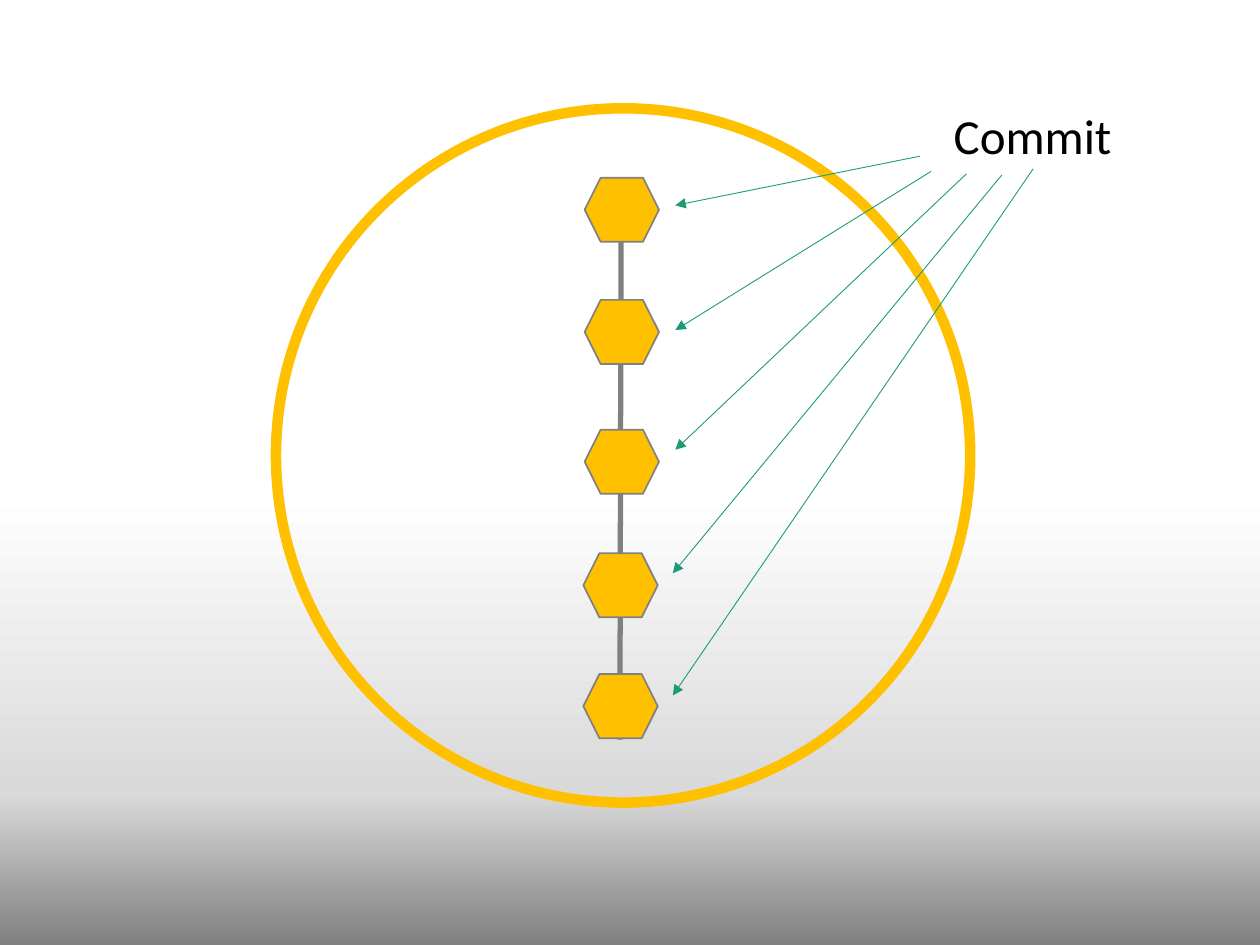
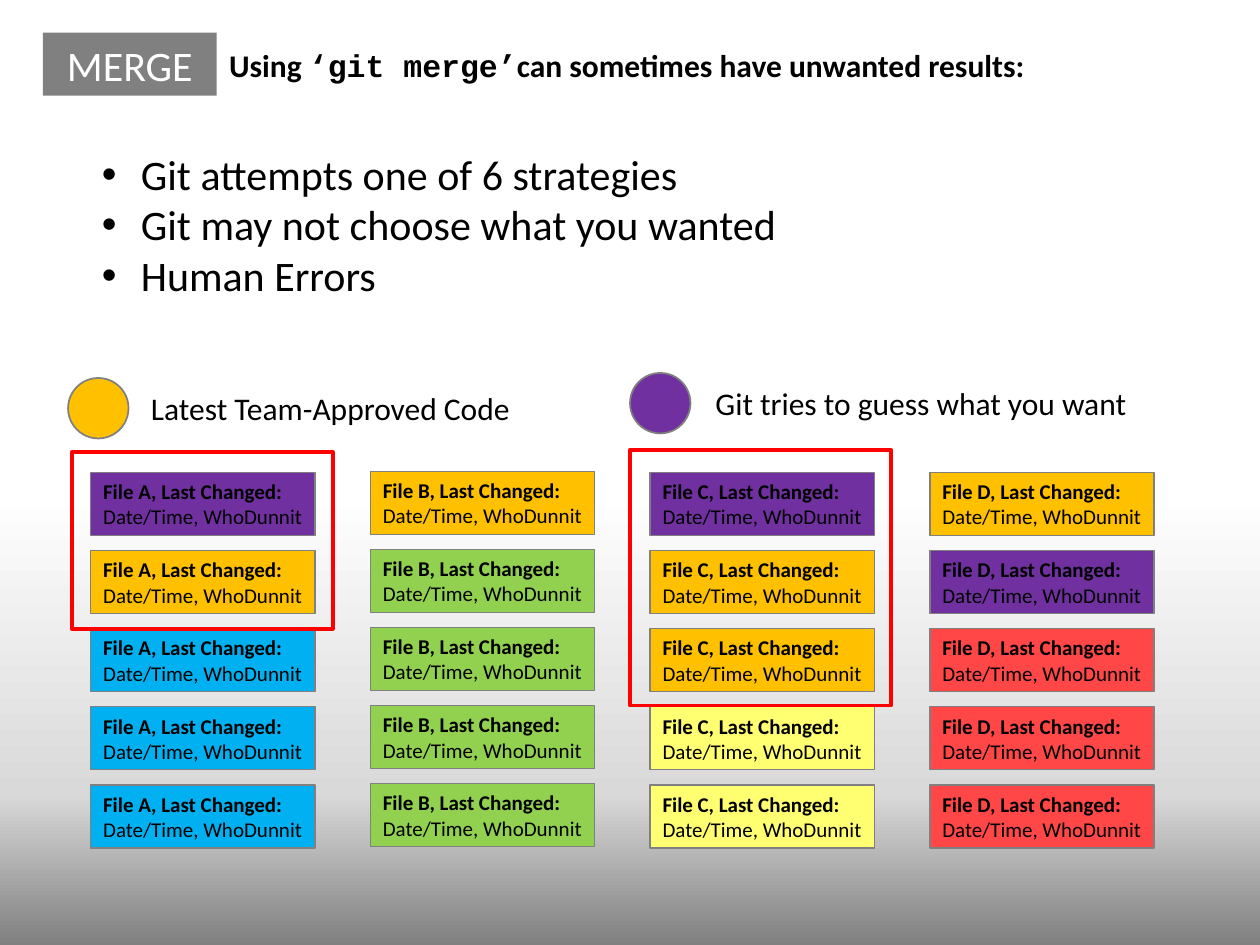
from dataclasses import dataclass
from typing import Optional

from lxml import etree
from pptx import Presentation
from pptx.dml.color import RGBColor
from pptx.enum.shapes import MSO_CONNECTOR, MSO_SHAPE
from pptx.enum.text import MSO_ANCHOR, PP_ALIGN
from pptx.oxml.ns import qn
from pptx.util import Inches, Pt

STRAIGHT = MSO_CONNECTOR.STRAIGHT
RECTANGLE = MSO_SHAPE.RECTANGLE
ELLIPSE = MSO_SHAPE.OVAL
HEXAGON = MSO_SHAPE.HEXAGON
LEFT, CENTER = PP_ALIGN.LEFT, PP_ALIGN.CENTER
TOP, MIDDLE = MSO_ANCHOR.TOP, MSO_ANCHOR.MIDDLE

BLACK, WHITE, GRAY = "000000", "FFFFFF", "808080"
GOLD, PURPLE, GREEN, BLUE = "FFC000", "7030A0", "92D050", "00B0F0"
YELLOW, CORAL, RED, TEAL = "FFFF71", "FF4747", "FF0000", "1D9A78"
BACKGROUND_STOPS = ((52, WHITE), (84, "D9D9D9"), (100, GRAY))
BODY_FONT, CODE_FONT = "Calibri", "Courier New"


@dataclass(frozen=True)
class Box:
    left: float
    top: float
    width: float
    height: float

    def lengths(self) -> tuple:
        return tuple(Inches(v) for v in (self.left, self.top, self.width, self.height))


@dataclass(frozen=True)
class Span:
    text: str
    bold: bool = False
    font: str = BODY_FONT


@dataclass(frozen=True)
class Commit:
    left: float
    top: float
    arrow_start: tuple[float, float]
    arrow_tip: tuple[float, float]


@dataclass(frozen=True)
class FileHistory:
    name: str
    top: float
    colors: tuple[str, ...]


@dataclass(frozen=True)
class Legend:
    marker: Box
    color: str
    label: Box
    text: str


COMMITS = (
    Commit(4.64, 1.41, (7.3, 1.24), (5.36, 1.63)),
    Commit(4.64, 2.38, (7.39, 1.36), (5.36, 2.62)),
    Commit(4.64, 3.41, (7.67, 1.38), (5.36, 3.57)),
    Commit(4.63, 4.39, (7.95, 1.39), (5.34, 4.55)),
    Commit(4.63, 5.35, (8.2, 1.34), (5.34, 5.52)),
)
FILES = (
    FileHistory("File A", 3.75, (PURPLE, GOLD, BLUE, BLUE, BLUE)),
    FileHistory("File B", 3.74, (GOLD, GREEN, GREEN, GREEN, GREEN)),
    FileHistory("File C", 3.75, (PURPLE, GOLD, GOLD, YELLOW, YELLOW)),
    FileHistory("File D", 3.75, (GOLD, PURPLE, CORAL, CORAL, CORAL)),
)
FILE_LEFT, FILE_COLUMN_STEP, FILE_ROW_STEP = 0.72, 2.22, 0.62
LEGENDS = (
    Legend(Box(5, 2.96, 0.48, 0.48), PURPLE,
           Box(5.58, 3, 3.71, 0.4), "Git tries to guess what you want"),
    Legend(Box(0.54, 3, 0.48, 0.48), GOLD,
           Box(1.1, 3.04, 3.46, 0.4), "Latest Team-Approved Code"),
)
CONFLICT_FRAMES = (Box(0.57, 3.59, 2.07, 1.4), Box(5, 3.57, 2.07, 2.03))
MERGE_RISKS = (
    "Git attempts one of 6 strategies",
    "Git may not choose what you wanted",
    "Human Errors",
)


def rgb(color: str) -> RGBColor:
    return RGBColor.from_string(color)


def paint_background(master) -> None:
    fill = master.background.fill
    fill.gradient()
    fill.gradient_angle = 270
    stops = master.element.find(".//" + qn("p:bgPr")).find(".//" + qn("a:gsLst"))
    for stop in list(stops):
        stops.remove(stop)
    for percent, color in BACKGROUND_STOPS:
        stop = etree.SubElement(stops, qn("a:gs"), pos=str(percent * 1000))
        etree.SubElement(stop, qn("a:srgbClr"), val=color)


def add_figure(slide, kind, box: Box, fill: Optional[str] = None,
               line: Optional[str] = None, width: float = 1):
    figure = slide.shapes.add_shape(kind, *box.lengths())
    figure.shadow.inherit = False
    if fill:
        figure.fill.solid()
        figure.fill.fore_color.rgb = rgb(fill)
    else:
        figure.fill.background()
    if line:
        figure.line.color.rgb = rgb(line)
        figure.line.width = Pt(width)
    else:
        figure.line.fill.background()
    return figure


def write(holder, paragraphs: list[list[Span]], size: float, color: str = BLACK,
          align=LEFT, anchor=TOP) -> None:
    frame = holder.text_frame
    frame.word_wrap = True
    frame.vertical_anchor = anchor
    frame.text = "\n".join(spans[0].text for spans in paragraphs)
    for paragraph, spans in zip(frame.paragraphs, paragraphs):
        paragraph.alignment = align
        for span in spans[1:]:
            paragraph.add_run().text = span.text
        for run, span in zip(paragraph.runs, spans):
            run.font.name = span.font
            run.font.size = Pt(size)
            run.font.bold = span.bold
            run.font.color.rgb = rgb(color)


def add_label(slide, box: Box, paragraphs: list[list[Span]], size: float, align=LEFT):
    label = slide.shapes.add_textbox(*box.lengths())
    write(label, paragraphs, size, align=align)
    return label


def add_bullets(label) -> None:
    for paragraph in label.text_frame.paragraphs:
        properties = paragraph._p.get_or_add_pPr()
        properties.set("marL", str(Inches(0.31)))
        properties.set("indent", str(-Inches(0.31)))
        etree.SubElement(properties, qn("a:buFont"), typeface="Arial")
        etree.SubElement(properties, qn("a:buChar"), char="•")


def add_line(slide, start: tuple[float, float], end: tuple[float, float],
             color: str, width: float, arrow: bool = False) -> None:
    connector = slide.shapes.add_connector(
        STRAIGHT, *(Inches(v) for v in (*start, *end)))
    connector.line.color.rgb = rgb(color)
    connector.line.width = Pt(width)
    if arrow:
        etree.SubElement(connector.line._get_or_add_ln(), qn("a:tailEnd"), type="triangle")
    etree.SubElement(connector._element.spPr, qn("a:effectLst"))


def build_commit_slide(slide) -> None:
    add_line(slide, (4.93, 1.41), (4.92, 5.87), GRAY, 3)
    for commit in COMMITS:
        add_figure(slide, HEXAGON, Box(commit.left, commit.top, 0.59, 0.51), GOLD, GRAY)
    add_figure(slide, ELLIPSE, Box(2.19, 0.86, 5.51, 5.51), line=GOLD, width=6)
    add_label(slide, Box(7.3, 0.79, 1.79, 0.57), [[Span("Commit")]], 28, CENTER)
    for commit in COMMITS:
        add_line(slide, commit.arrow_start, commit.arrow_tip, TEAL, 0.5, arrow=True)


def build_merge_slide(slide) -> None:
    for column, file in enumerate(FILES):
        for row, color in enumerate(file.colors):
            box = Box(FILE_LEFT + column * FILE_COLUMN_STEP,
                      file.top + row * FILE_ROW_STEP, 1.78, 0.5)
            version = add_figure(slide, RECTANGLE, box, color, GRAY, 0.75)
            write(version, [[Span(f"{file.name}, Last Changed: ", bold=True),
                             Span("Date/Time, WhoDunnit")]], 12, anchor=MIDDLE)
    for legend in LEGENDS:
        add_figure(slide, ELLIPSE, legend.marker, legend.color, GRAY)
        add_label(slide, legend.label, [[Span(legend.text)]], 18)
    command = add_figure(slide, RECTANGLE, Box(0.34, 0.26, 1.38, 0.5), GRAY)
    write(command, [[Span("MERGE")]], 24, WHITE, CENTER, MIDDLE)
    for frame in CONFLICT_FRAMES:
        add_figure(slide, RECTANGLE, frame, line=RED, width=2.25)
    add_bullets(add_label(slide, Box(0.71, 1.13, 8.31, 1.55),
                          [[Span(risk)] for risk in MERGE_RISKS], 24))
    add_label(slide, Box(1.72, 0.32, 7.73, 0.4),
              [[Span("Using ", bold=True),
                Span("‘git merge’", bold=True, font=CODE_FONT),
                Span("can sometimes have unwanted results:", bold=True)]], 18)


def main() -> None:
    deck = Presentation()
    deck.slide_width, deck.slide_height = Inches(10), Inches(7.5)
    paint_background(deck.slide_master)
    for build in (build_commit_slide, build_merge_slide):
        build(deck.slides.add_slide(deck.slide_layouts[6]))
    deck.save("out.pptx")


if __name__ == "__main__":
    main()
